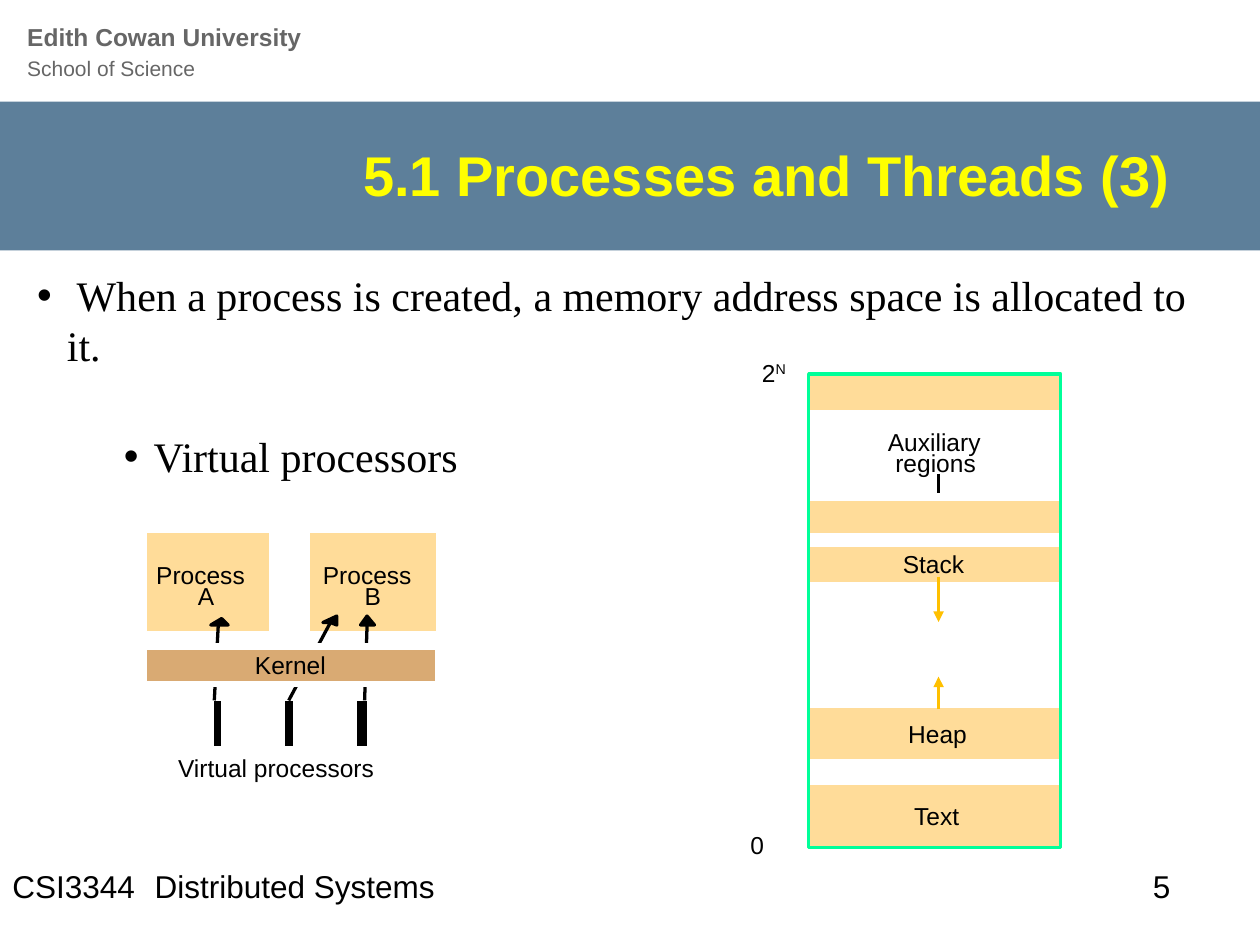
from dataclasses import dataclass

from lxml import etree
from pptx import Presentation
from pptx.dml.color import RGBColor
from pptx.enum import shapes as kinds, text as modes
from pptx.oxml import ns
from pptx.util import Cm, Pt


@dataclass(frozen=True)
class Theme:
    """Colours, fonts and type sizes of the slide."""
    black: str = "000000"
    white: str = "FFFFFF"
    grey: str = "666666"
    slate: str = "5D7F9A"
    yellow: str = "FFFF00"
    sand: str = "FFDC99"
    tan: str = "D9AA73"
    green: str = "00FF99"
    amber: str = "FFC000"
    sans: str = "Arial"
    serif: str = "Times New Roman"
    tiny: int = 12
    small: int = 14
    foot: int = 18
    body: int = 24
    head: int = 32


T = Theme()


@dataclass(frozen=True)
class Box:
    """A region in centimetres that places parts from its top left."""
    left: float
    top: float
    width: float
    height: float

    def spot(self, x, y):
        """Return a local point as slide lengths."""
        return Cm(self.left + x), Cm(self.top + y)

    def area(self, x, y, w, h):
        """Return a local area as slide lengths."""
        return *self.spot(x, y), Cm(w), Cm(h)


def tint(hue):
    """Turn a hex string into a colour."""
    return RGBColor.from_string(hue)


def style(para, size, hue=T.black, face=T.sans, bold=False):
    """Set the font of a paragraph."""
    font = para.font
    font.size, font.name, font.bold = Pt(size), face, bold
    font.color.rgb = tint(hue)


def paint(shape, fill=None, edge=None, width=1.75):
    """Set the fill and edge of a shape, without a shadow."""
    shape.shadow.inherit = False
    if fill:
        shape.fill.solid()
        shape.fill.fore_color.rgb = tint(fill)
    else:
        shape.fill.background()
    if edge:
        shape.line.color.rgb = tint(edge)
        shape.line.width = Pt(width)
    else:
        shape.line.fill.background()


def block(slide, area, fill=None, edge=None, width=1.75):
    """Draw a rectangle."""
    shape = slide.shapes.add_shape(kinds.MSO_SHAPE.RECTANGLE, *area)
    paint(shape, fill, edge, width)


def frame(slide, area, words=""):
    """Add a wrapped text box and return its first paragraph."""
    body = slide.shapes.add_textbox(*area).text_frame
    body.word_wrap = True
    body.paragraphs[0].text = words
    return body.paragraphs[0]


def label(slide, box, words, x, y, w, power=""):
    """Write a small caption, with an optional raised power."""
    para = frame(slide, box.area(x, y, w, 0.58), words)
    body = slide.shapes[-1].text_frame
    body.margin_left = body.margin_right = body.margin_top = body.margin_bottom = 0
    if power:
        run = para.add_run()
        run.text = power
        run.font._element.set("baseline", "30000")
    style(para, T.small)


def stroke(slide, box, start, end, hue=T.black, width=1.87, arrow=False):
    """Draw a straight line, with an optional arrowhead at its end."""
    line = slide.shapes.add_connector(
        kinds.MSO_CONNECTOR.STRAIGHT, *box.spot(*start), *box.spot(*end))
    line.line.color.rgb = tint(hue)
    line.line.width = Pt(width)
    if arrow:
        etree.SubElement(line.line._get_or_add_ln(), ns.qn("a:tailEnd"), type="triangle")
    etree.SubElement(line._element.spPr, ns.qn("a:effectLst"))


def header(slide, box):
    """Place the school name, the title band and the title."""
    para = frame(slide, box.area(0.3, 0.33, 14.96, 1.45))
    para.line_spacing = Pt(16.7)
    style(para, T.small, T.grey)
    first = para.add_run()
    first.text = "Edith Cowan University"
    first.font.bold = True
    para.add_line_break()
    second = para.add_run()
    second.text = "School of Science"
    second.font.size = Pt(T.tiny)
    block(slide, box.area(0, 2.05, box.width, 3), T.slate)
    area = box.area(2.25, 2.72, 21.59, 1.6)
    title = frame(slide, area, "5.1 Processes and Threads (3)")
    title.alignment = modes.PP_ALIGN.RIGHT
    slide.shapes[-1].text_frame.vertical_anchor = modes.MSO_ANCHOR.MIDDLE
    style(title, T.head, T.yellow, bold=True)


def points(slide, box):
    """Place the two bullet points."""
    items = (
        (" When a process is created, a memory address space is allocated to it.",
         0, 0, box.width),
        ("Virtual processors", 1.75, 3.25, 7.24),
    )
    for words, x, y, w in items:
        para = frame(slide, box.area(x, y, w, 1.27), words)
        props = para._p.get_or_add_pPr()
        props.set("marL", str(Cm(0.6)))
        props.set("indent", str(-Cm(0.6)))
        etree.SubElement(props, ns.qn("a:buFont"), typeface=T.sans)
        etree.SubElement(props, ns.qn("a:buChar"), char="•")
        style(para, T.body, face=T.serif)


def kernel(slide, box):
    """Draw two processes on a kernel with three virtual processors."""
    for x, w in ((1.35, 0.28), (2.79, 0.28), (4.24, 0.33)):
        block(slide, box.area(x, 3.4, w, 1.04), T.black, T.white, 3.75)
    for name, x, w, shift in (("A", 0, 2.59, 0), ("B", 3.28, 2.67, 3.36)):
        block(slide, box.area(x, 0, w, 2.11), T.sand, T.white, 3.75)
        label(slide, box, "Process", 0.25 + shift, 0.61, 2)
        label(slide, box, name, 1.09 + shift, 1.04, 0.5)
    links = (
        (1.42, ((1.5, 1.93), (1.35, 1.93), (1.57, 1.8), (1.7, 1.93))),
        (2.92, ((3.76, 1.88), (3.61, 1.88), (3.89, 1.75), (3.89, 1.93))),
        (4.45, ((4.5, 1.93), (4.37, 1.93), (4.5, 1.75), (4.65, 1.93))),
    )
    for foot, tip in links:
        first, *rest = [box.spot(*spot) for spot in tip]
        shaft = slide.shapes.build_freeform(*first)
        shaft.add_line_segments(rest, close=True)
        paint(shaft.convert_to_shape(), T.black, T.black, 1.87)
        stroke(slide, box, (foot, 3.45), tip[0])
    block(slide, box.area(0, 2.36, box.width, 0.76), T.tan, T.white, 3.75)
    label(slide, box, "Kernel", 2.24, 2.44, 1.7)
    label(slide, box, "Virtual processors", 0.69, 4.52, 4.3)


def memory(slide, box):
    """Draw the address space with its regions and growth arrows."""
    for y, h in ((0, 0.69), (2.59, 0.58), (3.52, 0.64), (6.76, 0.98), (8.32, 1.22)):
        block(slide, box.area(0, y, box.width, h), T.sand, T.sand)
    captions = (
        ("Auxiliary", 1.6, 1.07, 2.1), ("regions", 1.75, 1.5, 1.9),
        ("Stack", 1.9, 3.53, 1.5), ("Heap", 2.01, 6.96, 1.4),
        ("Text", 2.13, 8.61, 1.2), ("0", -1.17, 9.19, 1),
        ("2", -0.94, -0.33, 0.8, "N"),
    )
    for words, x, y, w, *power in captions:
        label(slide, box, words, x, y, w, *power)
    block(slide, box.area(0, 0, box.width, box.height), edge=T.green)
    mid = 2.62
    stroke(slide, box, (mid, 2.01), (mid, 2.39), width=1.75)
    for start, end in ((4.09, 5), (6.76, 6.1)):
        stroke(slide, box, (mid, start), (mid, end), T.amber, 2, True)


def footer(slide, box):
    """Place the course code, course name and page number."""
    for words, x, w in (("CSI3344", 0, 5.92), ("Distributed Systems", 2.87, 10.9),
                        ("5", 22.99, 2.41)):
        style(frame(slide, box.area(x, 0, w, box.height), words), T.foot)


def main():
    """Build the slide and save it."""
    deck = Presentation()
    deck.slide_width, deck.slide_height = Cm(25.4), Cm(19.05)
    slide = deck.slides.add_slide(deck.slide_layouts[6])
    header(slide, Box(0, 0, 25.4, 5.06))
    footer(slide, Box(0, 17.35, 25.4, 1.27))
    kernel(slide, Box(2.9, 10.67, 5.94, 5.1))
    points(slide, Box(0.5, 5.31, 24.41, 4.52))
    memory(slide, Box(16.3, 7.54, 5.08, 9.55))
    deck.save("out.pptx")


if __name__ == "__main__":
    main()
